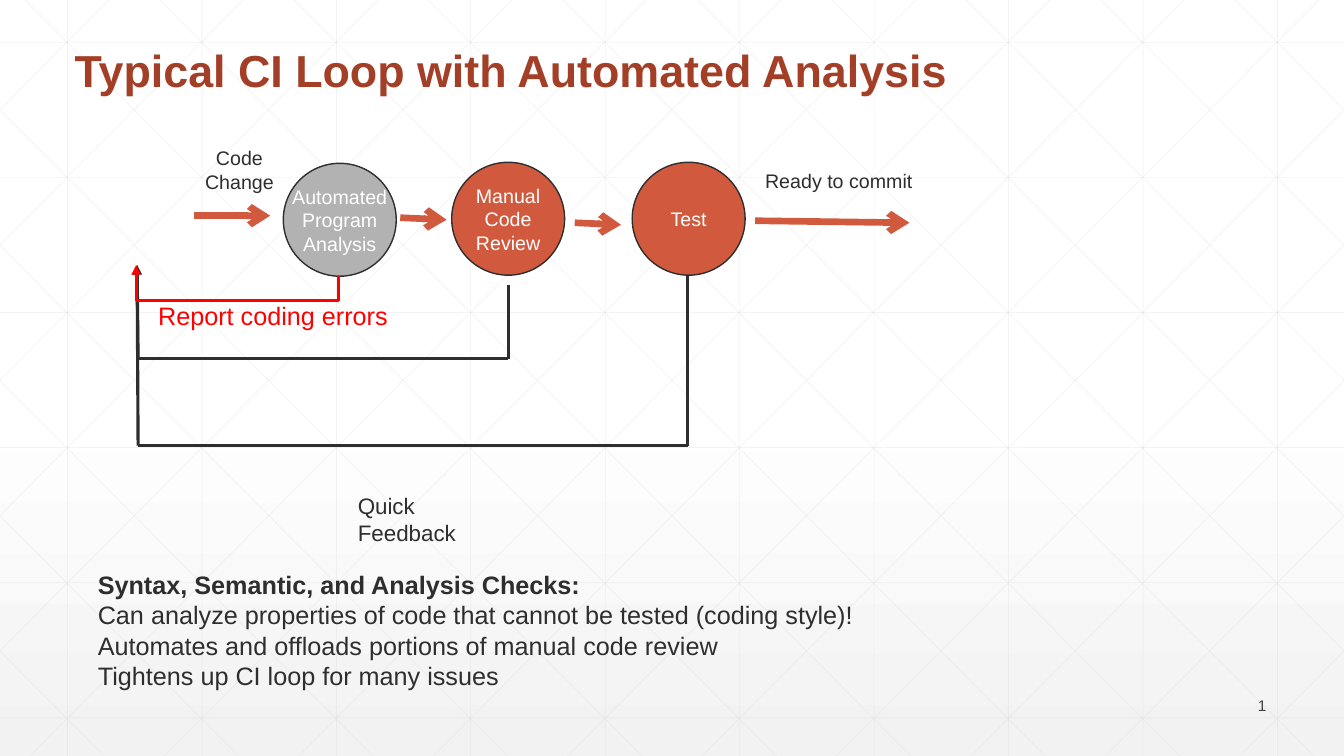
from pptx import Presentation
from pptx.dml.color import RGBColor
from pptx.enum.shapes import MSO_CONNECTOR, MSO_SHAPE
from pptx.enum.text import MSO_ANCHOR, PP_ALIGN
from pptx.oxml.ns import qn
from pptx.util import Inches, Pt
from lxml import etree

LINE, ELBOW = MSO_CONNECTOR.STRAIGHT, MSO_CONNECTOR.ELBOW
OVAL = MSO_SHAPE.OVAL
TOP, MID, LOW = MSO_ANCHOR.TOP, MSO_ANCHOR.MIDDLE, MSO_ANCHOR.BOTTOM
LEFT, MIDST, RIGHT = PP_ALIGN.LEFT, PP_ALIGN.CENTER, PP_ALIGN.RIGHT
INK, RUST, RED = "2D2E2D", "D15A3E", "FF0000"
WIDE, HIGH = 13.33, 7.5
hue = RGBColor.from_string

deck = Presentation()
deck.slide_width, deck.slide_height = Inches(WIDE), Inches(HIGH)
slide = deck.slides.add_slide(deck.slide_layouts[1])
shapes = slide.shapes


def link(x1, y1, x2, y2, color, width, head=None, kind=LINE):
    line = shapes.add_connector(kind, Inches(x1), Inches(y1), Inches(x2), Inches(y2))
    line.line.color.rgb = hue(color)
    line.line.width = Pt(width)
    etree.SubElement(line._element.spPr, qn("a:effectLst"))
    if head:
        etree.SubElement(line.line._get_or_add_ln(), qn("a:tailEnd"), type=head)
    return line


def write(shape, box, text, size, color, align=LEFT, anchor=TOP, wrap=True):
    shape.left, shape.top, shape.width, shape.height = [Inches(v) for v in box]
    frame = shape.text_frame
    frame.text = text
    frame.word_wrap = wrap
    frame.vertical_anchor = anchor
    for para in frame.paragraphs:
        para.alignment = align
        para.space_before = Pt(0)
        for run in para.runs:
            run.font.name, run.font.size = "Arial", Pt(size)
            run.font.color.rgb = hue(color)
    return frame


# Background gradient
fill = slide.background.fill
fill.gradient()
fill.gradient_angle = 270
for stop, place, color in zip(fill.gradient_stops, (0.53, 1), ("FFFFFF", "F2F2F2")):
    stop.position = place
    stop.color.rgb = hue(color)

# Faint grid: upright, level, and mirrored slanted lines cut at the slide edge
step, run_x = 4 / 3, 7.45
grid = [(0.67 + step * i, 0, 0.67 + step * i, HIGH) for i in range(10)]
grid += [(0, 0.42 + 1.34 * i, WIDE, 0.42 + 1.34 * i) for i in range(6)]
for i in range(-5, 10):
    x = 0.25 + step * i
    x1, x2 = max(x, 0), min(x + run_x, WIDE)
    y1, y2 = [(v - x) * HIGH / run_x for v in (x1, x2)]
    grid += [(x1, y1, x2, y2), (WIDE - x1, y1, WIDE - x2, y2)]
for ends in grid:
    rule = link(*ends, "D9D9D9", 0.5)
    tint = rule._element.spPr.find(".//" + qn("a:srgbClr"))
    etree.SubElement(tint, qn("a:alpha"), val="30000")

# Stages
for x, y, color, name in [
    (2.81, 1.62, "B2B2B2", "Automated\nProgram\nAnalysis"),
    (4.48, 1.61, RUST, "Manual\nCode\nReview"),
    (6.27, 1.61, RUST, "Test"),
]:
    box = (x, y, 1.12, 1.12)
    stage = shapes.add_shape(OVAL, *[Inches(v) for v in box])
    stage.shadow.inherit = False
    stage.fill.solid()
    stage.fill.fore_color.rgb = hue(color)
    stage.line.color.rgb = hue(INK)
    stage.line.width = Pt(1)
    write(stage, box, name, 14, "FFFFFF", MIDST, MID, False)

# Arrows between stages
for ends in [
    (1.92, 2.14, 2.68, 2.14),
    (3.97, 2.16, 4.43, 2.18),
    (5.7, 2.21, 6.16, 2.23),
    (7.49, 2.19, 9.02, 2.21),
]:
    link(*ends, RUST, 4.75, "arrow")

# Feedback loops from review and test
for x, top, low in [(5.04, 2.83, 3.56), (6.82, 2.73, 4.42)]:
    link(x, top, x, low, INK, 2.25)
    link(x, low, 1.37, low, INK, 2.25)
    link(1.37, low, 1.36, 2.63, INK, 2.25, "triangle")

# Short loop from analysis: an elbow turned a quarter
loop = link(2.41, 1.68, 2.3, 3.69, RED, 2.25, "triangle", ELBOW)
loop._element.spPr.find(qn("a:xfrm")).set("rot", "5400000")
geom = loop._element.spPr.find(qn("a:prstGeom"))
guides = geom.get_or_add_avLst()
etree.SubElement(guides, qn("a:gd"), name="adj1", fmla="val -221700")

# Labels
for box, text, size, color, align in [
    ((1.72, 1.4, 1.31, 0.56), "Code\vChange", 14, INK, MIDST),
    ((7.49, 1.63, 2.07, 0.33), "Ready to commit", 14, INK, LEFT),
    ((3.45, 4.83, 1.72, 0.62), "Quick\vFeedback", 16, INK, LEFT),
    ((1.47, 2.93, 2.6, 0.4), "Report coding errors", 18, RED, LEFT),
]:
    write(shapes.add_textbox(0, 0, 0, 0), box, text, size, color, align)

# Title and list, above the grid
title, body = shapes.title, slide.placeholders[1]
for holder in (title, body):
    shapes._spTree.append(holder._element)
head = write(title, (0.64, 0.23, 10.58, 0.78),
             "Typical CI Loop with Automated Analysis", 32, "A43F27", anchor=LOW)
head.paragraphs[0].line_spacing = 0.9
head.paragraphs[0].runs[0].font.bold = True
points = [
    "Syntax, Semantic, and Analysis Checks:",
    "Can analyze properties of code that cannot be tested (coding style)!",
    "Automates and offloads portions of manual code review",
    "Tightens up CI loop for many issues",
]
checks = write(body, (0.87, 5.6, 8.68, 1.31), "\n".join(points), 18, INK)
checks.paragraphs[0].runs[0].font.bold = True
for para in checks.paragraphs:
    props = para._p.get_or_add_pPr()
    props.set("marL", "0")
    props.set("indent", "0")
    etree.SubElement(props, qn("a:buNone"))

# Slide number
page = shapes.add_textbox(0, 0, 0, 0)
note = write(page, (11.66, 6.88, 1, 0.24), "6", 11, "424342", RIGHT, MID)
digit = note.paragraphs[0].runs[0]._r
digit.tag = qn("a:fld")
digit.set("id", "{B6F15528-21DE-4FAA-801E-634DDDAF4B2B}")
digit.set("type", "slidenum")
note.paragraphs[0].alignment = RIGHT

deck.save("out.pptx")
